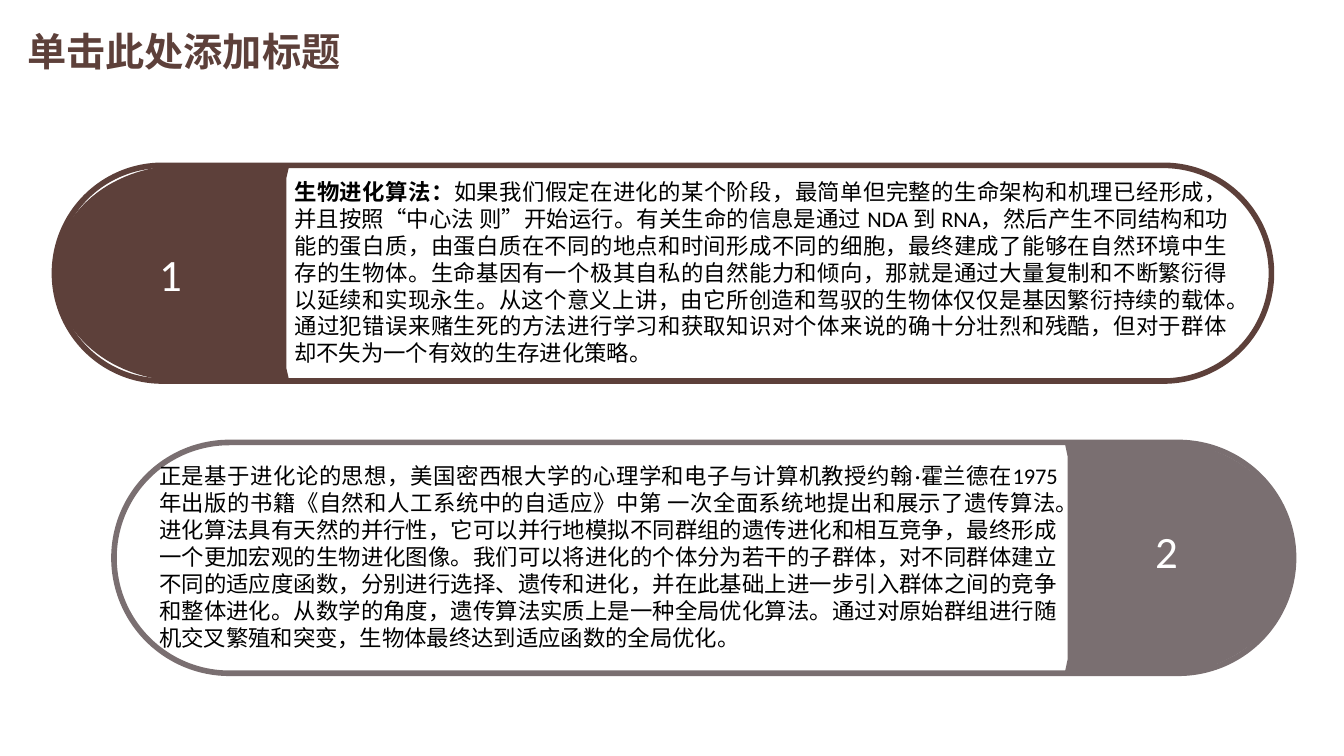
import math
from pptx import Presentation
from pptx.dml.color import RGBColor
from pptx.enum import shapes, text
from pptx.util import Inches, Pt

COLORS = {"brown": "5D403A", "gray": "7A6F71", "white": "FFFFFF", "black": "000000"}

prs = Presentation()
prs.slide_width, prs.slide_height = Inches(13.33), Inches(7.5)
s = prs.slides.add_slide(prs.slide_layouts[6])


def share(x, y):
    return round(prs.slide_width * x / 100), round(prs.slide_height * y / 100)


def add_text(box, runs, size, color, font="Calibri", align=text.PP_ALIGN.LEFT):
    sp = s.shapes.add_textbox(*share(*box[:2]), *share(*box[2:]))
    tf = sp.text_frame
    tf.word_wrap = True
    p = tf.paragraphs[0]
    p.alignment = align
    for content, bold in runs:
        r = p.add_run()
        r.text = content
        r.font.name, r.font.size, r.font.bold = font, Pt(size), bold
        r.font.color.rgb = RGBColor.from_string(COLORS[color])
    return tf


panels = [
    {
        "color": "brown", "frame": (4.05, 21.87, 90.55, 28.53),
        "tip": 4.05, "center": 13.58, "flat": 21.53,
        "number": "1", "number_box": (11.1, 32, 10.43, 18.53),
        "body_box": (21.16, 22.93, 70.97, 30.53),
        "body": [
            ("生物进化算法：", True),
            ("如果我们假定在进化的某个阶段，最简单但完整的生命架构和机理已经形成，"
             "并且按照“中心法 则”开始运行。有关生命的信息是通过 NDA 到 RNA，然后产生不同结构和"
             "功能的蛋白质，由蛋白质在不同的地点和时间形成不同的细胞，最终建成了能够在自然环境中"
             "生存的生物体。生命基因有一个极其自私的自然能力和倾向，那就是通过大量复制和不断繁衍"
             "得以延续和实现永生。从这个意义上讲，由它所创造和驾驭的生物体仅仅是基因繁衍持续的载"
             "体。通过犯错误来赌生死的方法进行学习和获取知识对个体来说的确十分壮烈和残酷，但对于"
             "群体却不失为一个有效的生存进化策略。", False),
        ],
    },
    {
        "color": "gray", "frame": (8.48, 58.53, 87.77, 30.53),
        "tip": 96.25, "center": 86.87, "flat": 79.22,
        "number": "2", "number_box": (85.22, 68.67, 10.13, 10.4),
        "body_box": (11.1, 60.53, 68.34, 26.53),
        "body": [
            ("正是基于进化论的思想，美国密西根大学的心理学和电子与计算机教授约翰·霍兰德在1975 "
             "年出版的书籍《自然和人工系统中的自适应》中第 一次全面系统地提出和展示了遗传算法。"
             "进化算法具有天然的并行性，它可以并行地模拟不同群组的遗传进化和相互竞争，最终形成"
             "一个更加宏观的生物进化图像。我们可以将进化的个体分为若干的子群体，对不同群体建立"
             "不同的适应度函数，分别进行选择、遗传和进化，并在此基础上进一步引入群体之间的竞争"
             "和整体进化。从数学的角度，遗传算法实质上是一种全局优化算法。通过对原始群组进行随"
             "机交叉繁殖和突变，生物体最终达到适应函数的全局优化。", False),
        ],
    },
]

for panel in panels:
    color = RGBColor.from_string(COLORS[panel["color"]])
    x, y, w, h = panel["frame"]
    frame = s.shapes.add_shape(shapes.MSO_SHAPE.ROUNDED_RECTANGLE, *share(x, y), *share(w, h))
    frame.adjustments[0] = 0.5
    frame.shadow.inherit = False
    frame.fill.background()
    frame.line.color.rgb = color
    frame.line.width = Pt(4)

    flat, center = panel["flat"], panel["center"]
    radius = panel["tip"] - center
    notch = flat + math.copysign(0.22, radius)
    points = [(flat, y), (notch, y + 0.06 * h), (notch, y + 0.94 * h), (flat, y + h)]
    for step in range(61):
        angle = math.pi * step / 60
        points.append((center + radius * math.sin(angle), y + h / 2 * (1 + math.cos(angle))))
    outline = [share(*point) for point in points]
    builder = s.shapes.build_freeform(*outline[0], scale=1.0)
    builder.add_line_segments(outline[1:], close=True)
    cap = builder.convert_to_shape()
    cap.shadow.inherit = False
    cap.fill.solid()
    cap.fill.fore_color.rgb = color
    cap.line.fill.background()

    add_text(panel["number_box"], [(panel["number"], False)], 32, "white")
    add_text(panel["body_box"], panel["body"], 16, "black", align=text.PP_ALIGN.JUSTIFY)

title = add_text((1.28, 2.27, 86.27, 9.6), [("单击此处添加标题", True)], 28, "brown", "Montserrat")
title.vertical_anchor = text.MSO_ANCHOR.MIDDLE
title.paragraphs[0].line_spacing = 0.9

prs.save("out.pptx")
